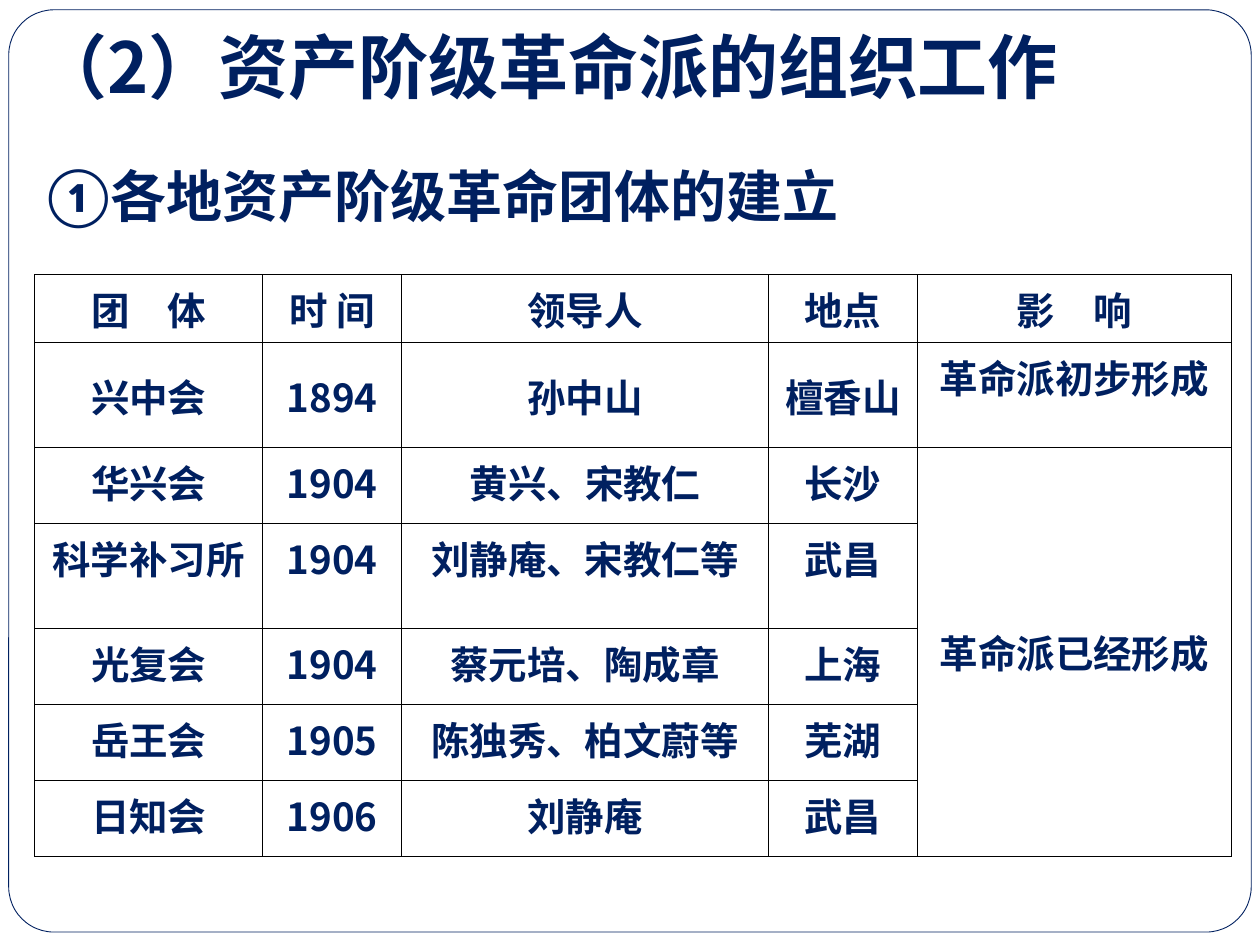
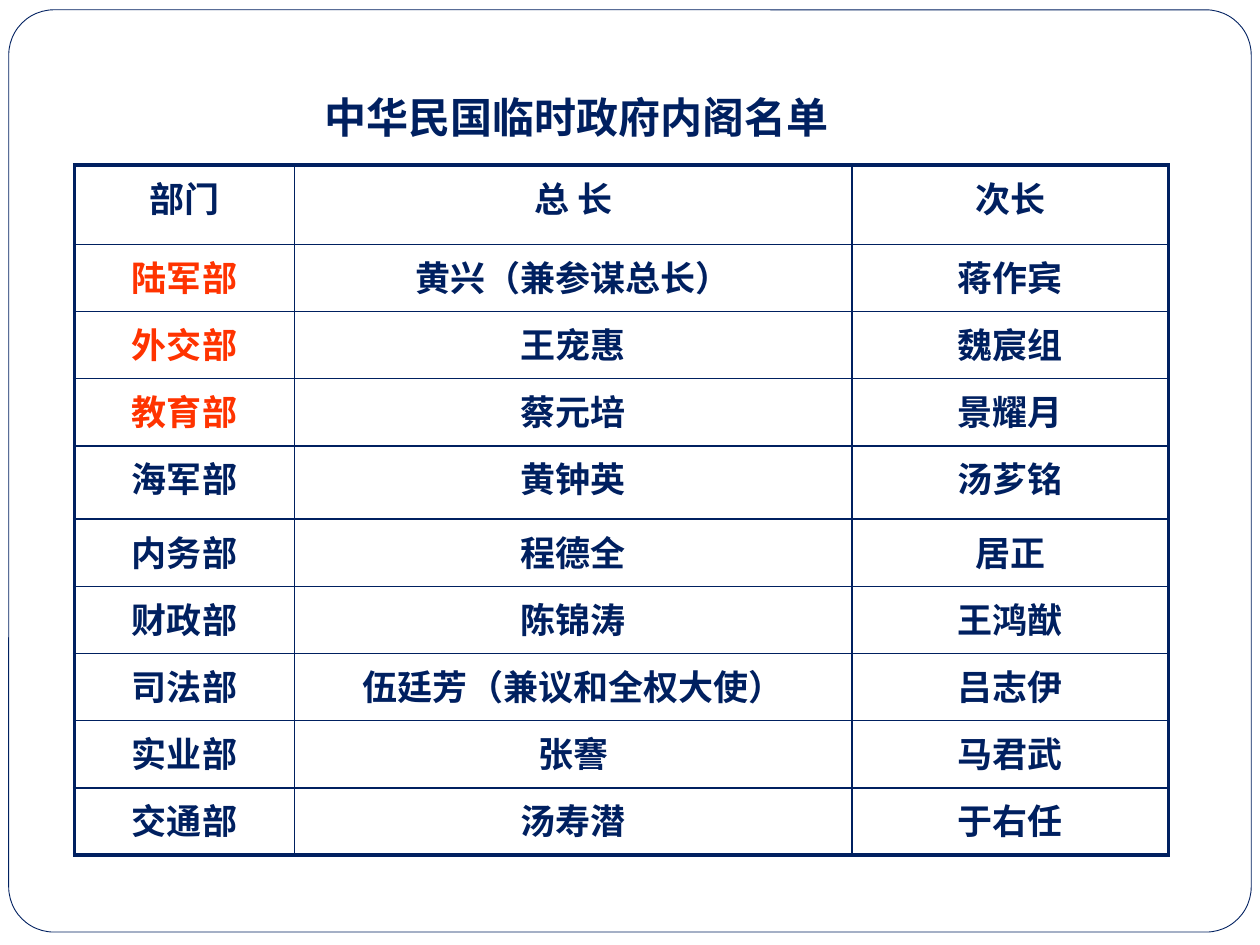
"""Build two slides on the 1911 revolution: its societies and its first cabinet."""
from dataclasses import dataclass

import lxml.etree
import pptx
import pptx.dml.color
import pptx.enum.shapes
import pptx.enum.text
import pptx.oxml.ns
import pptx.util

Pt = pptx.util.Pt
Align = pptx.enum.text.PP_ALIGN
Anchor = pptx.enum.text.MSO_ANCHOR
qn = pptx.oxml.ns.qn

COLORS = {"navy": "002060", "red": "FF3300", "black": "000000", "white": "FFFFFF"}
SANS_SC = "Noto Sans CJK SC"
SANS_JP = "Noto Sans CJK JP"


@dataclass(frozen=True)
class Label:
    text: str
    box: tuple[float, float, float, float]
    size: float
    font: str
    asian: str
    anchor: Anchor = Anchor.TOP
    base: float = 3.6
    lead: float = 1.0


@dataclass(frozen=True)
class Grid:
    left: float
    top: float
    cols: tuple[float, ...]
    rows: tuple[float, ...]
    cells: tuple[tuple[str, ...], ...]
    size: float
    font: str
    line: str
    inner: float
    outer: float
    red: tuple[str, ...] = ()
    middle: tuple[tuple[int, int], ...] = ()
    merge: tuple[tuple[int, int], ...] = ()


def tint(name: str) -> pptx.dml.color.RGBColor:
    return pptx.dml.color.RGBColor.from_string(COLORS[name])


def write(frame, text: str, *, size: float, font: str, asian: str = "",
          color: str = "navy", align: Align = Align.LEFT, lead: float = 1.0) -> None:
    para = frame.paragraphs[0]
    para.alignment = align
    if lead != 1:
        para.line_spacing = lead
    run = para.add_run()
    run.text = text
    run.font.size = Pt(size)
    run.font.bold = True
    run.font.name = font
    run.font.color.rgb = tint(color)
    props = run.font._element
    lxml.etree.SubElement(props, qn("a:ea")).set("typeface", asian or font)


def add_frame(slide) -> None:
    kind = pptx.enum.shapes.MSO_SHAPE.ROUNDED_RECTANGLE
    frame = slide.shapes.add_shape(kind, Pt(5), Pt(5.6), Pt(710), Pt(527))
    frame.adjustments[0] = 0.049
    frame.shadow.inherit = False
    frame.fill.solid()
    frame.fill.fore_color.rgb = tint("white")
    frame.line.color.rgb = tint("navy")
    frame.line.width = Pt(0.5)


def add_label(slide, label: Label) -> None:
    frame = slide.shapes.add_textbox(*map(Pt, label.box)).text_frame
    frame.word_wrap = True
    frame.vertical_anchor = label.anchor
    frame.margin_bottom = Pt(label.base)
    write(frame, label.text, size=label.size, font=label.font,
          asian=label.asian, lead=label.lead)


def add_edge(cell, side: str, color: str, width: float) -> None:
    props = cell._tc.get_or_add_tcPr()
    edge = lxml.etree.SubElement(props, qn(f"a:ln{side}"), w=str(Pt(width)))
    fill = lxml.etree.SubElement(edge, qn("a:solidFill"))
    lxml.etree.SubElement(fill, qn("a:srgbClr"), val=COLORS[color])


def add_grid(slide, grid: Grid) -> None:
    count, span = len(grid.rows), len(grid.cols)
    table = slide.shapes.add_table(
        count, span, Pt(grid.left), Pt(grid.top),
        Pt(sum(grid.cols)), Pt(sum(grid.rows))).table
    table.first_row = table.horz_banding = False
    for col, width in zip(table.columns, grid.cols):
        col.width = Pt(width)
    for row, height in zip(table.rows, grid.rows):
        row.height = Pt(height)
    for y in range(count):
        for x in range(span):
            cell = table.cell(y, x)
            rims = {"L": x == 0, "R": x == span - 1, "T": y == 0, "B": y == count - 1}
            for side, rim in rims.items():
                add_edge(cell, side, grid.line, grid.outer if rim else grid.inner)
            cell.fill.background()
            if (y, x) in grid.middle:
                cell.vertical_anchor = Anchor.MIDDLE
    if grid.merge:
        first, last = grid.merge
        table.cell(*first).merge(table.cell(*last))
    for y, texts in enumerate(grid.cells):
        for x, text in enumerate(texts):
            write(table.cell(y, x).text_frame, text, size=grid.size, font=grid.font,
                  color="red" if text in grid.red else "navy", align=Align.CENTER)


GROUPS = Grid(
    left=19.8, top=156.9, cols=(130.3, 79.4, 209.6, 85.1, 179.4),
    rows=(39, 60, 43.4, 60, 43.4, 43.4, 43.4),
    cells=(
        ("团　体", "时 间", "领导人", "地点", "影　响"),
        ("兴中会", "1894", "孙中山", "檀香山", "革命派初步形成"),
        ("华兴会", "1904", "黄兴、宋教仁", "长沙", "革命派已经形成"),
        ("科学补习所", "1904", "刘静庵、宋教仁等", "武昌"),
        ("光复会", "1904", "蔡元培、陶成章", "上海"),
        ("岳王会", "1905", "陈独秀、柏文蔚等", "芜湖"),
        ("日知会", "1906", "刘静庵", "武昌"),
    ),
    size=22, font=SANS_SC, line="black", inner=0.75, outer=0.75,
    middle=((1, 0), (1, 1), (1, 2), (1, 3), (2, 4)), merge=((2, 4), (6, 4)))

CABINET = Grid(
    left=42.6, top=94.4, cols=(125.7, 318.6, 180.9),
    rows=(45.2, 38.4, 38.4, 38.4, 42, *[38.4] * 5),
    cells=(
        ("部门", "总 长", "次长"),
        ("陆军部", "黄兴（兼参谋总长）", "蒋作宾"),
        ("外交部", "王宠惠", "魏宸组"),
        ("教育部", "蔡元培", "景耀月"),
        ("海军部", "黄钟英", "汤芗铭"),
        ("内务部", "程德全", "居正"),
        ("财政部", "陈锦涛", "王鸿猷"),
        ("司法部", "伍廷芳（兼议和全权大使）", "吕志伊"),
        ("实业部", "张謇", "马君武"),
        ("交通部", "汤寿潜", "于右任"),
    ),
    size=20, font=SANS_JP, line="navy", inner=1, outer=2.25,
    red=("陆军部", "外交部", "教育部"))

PAGES = (
    (GROUPS, (
        Label("①各地资产阶级革命团体的建立", (20, 88.6, 601, 46), 32,
              "Times New Roman", "Lato"),
        Label("（2）资产阶级革命派的组织工作", (14.4, 15.1, 676, 73.4), 40,
              SANS_JP, SANS_JP, lead=0.9),
    )),
    (CABINET, (
        Label("中华民国临时政府内阁名单", (178.6, 37.4, 312.5, 51.1), 24,
              "Lato", "Lato", anchor=Anchor.BOTTOM, base=7.2),
    )),
)


def main() -> None:
    deck = pptx.Presentation()
    deck.slide_width, deck.slide_height = Pt(720), Pt(540)
    for grid, labels in PAGES:
        slide = deck.slides.add_slide(deck.slide_layouts[6])
        add_frame(slide)
        add_grid(slide, grid)
        for label in labels:
            add_label(slide, label)
    deck.save("out.pptx")


if __name__ == "__main__":
    main()
